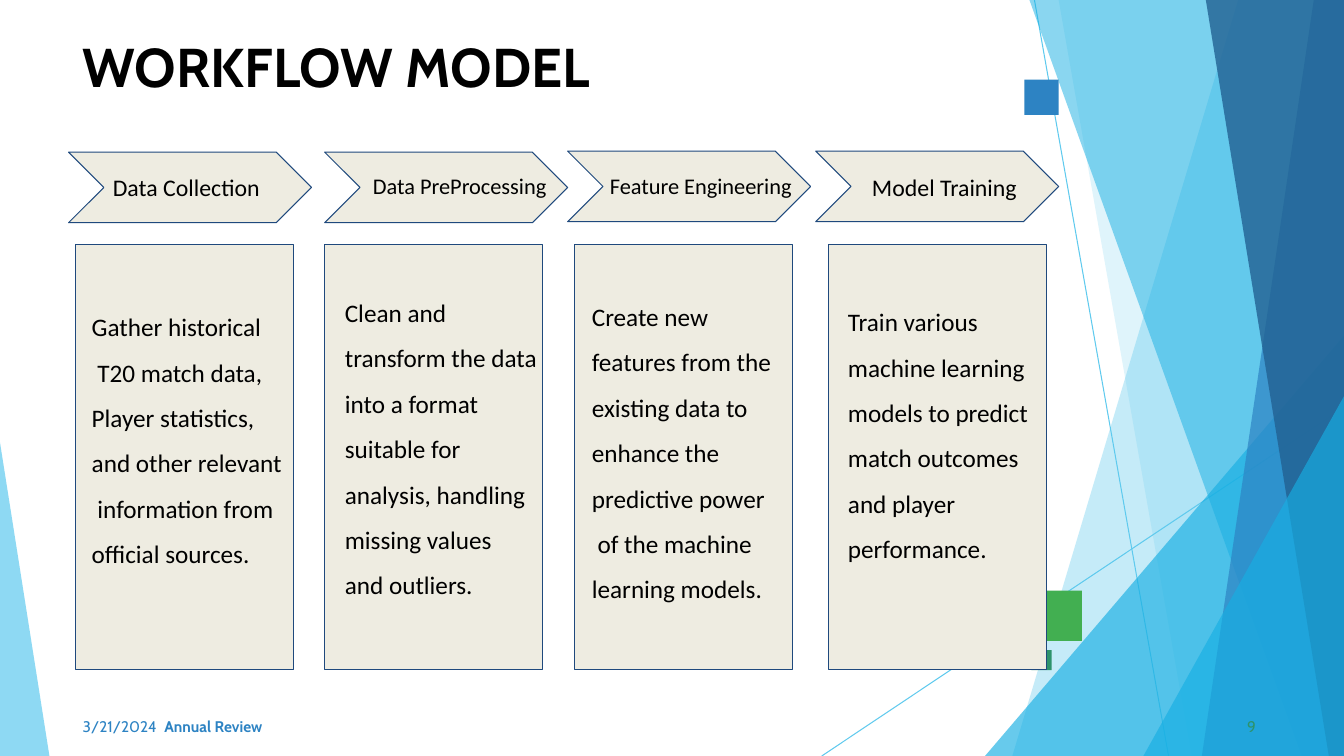
from lxml import etree
from pptx import Presentation
from pptx.dml.color import RGBColor
from pptx.enum.shapes import MSO_CONNECTOR, MSO_SHAPE
from pptx.enum.text import MSO_ANCHOR, MSO_AUTO_SIZE, PP_ALIGN
from pptx.oxml.ns import qn
from pptx.util import Inches, Pt

STRAIGHT = MSO_CONNECTOR.STRAIGHT
RECT, CHEVRON = MSO_SHAPE.RECTANGLE, MSO_SHAPE.CHEVRON
TOP, LEFT, NO_FIT = MSO_ANCHOR.TOP, PP_ALIGN.LEFT, MSO_AUTO_SIZE.NONE

THEME = {
    "heading": "Cabin", "text": "Calibri",
    "title_size": 39, "body_size": 18, "footer_size": 11,
    "black": "000000", "card": "EEECE1", "outline": "1F497D",
    "sky": "5FCAEE", "cyan": "17AFE3", "blue": "2D83C3", "navy": "226192",
    "green": "42AF51", "teal": "2D936B",
}


def color(name):
    return RGBColor.from_string(THEME[name])


def write(sp, text, box, font="text", size=18, fill="black", bold=False,
          inset=0.1, spacing=1.0):
    sp.left, sp.top, sp.width, sp.height = [Inches(v) for v in box]
    tf = sp.text_frame
    tf.word_wrap = False
    tf.auto_size = NO_FIT
    tf.vertical_anchor = TOP
    tf.margin_left = tf.margin_right = Inches(inset)
    tf.margin_top = tf.margin_bottom = Inches(inset)
    for i, line in enumerate(text.split("\n")):
        p = tf.paragraphs[0] if i == 0 else tf.add_paragraph()
        p.alignment = LEFT
        p.line_spacing = spacing
        p.space_before = p.space_after = Pt(0)
        pPr = p._p.get_or_add_pPr()
        pPr.set("marL", "0")
        pPr.set("indent", "0")
        etree.SubElement(pPr, qn("a:buNone"))
        r = p.add_run()
        r.text = line
        r.font.name = THEME[font]
        r.font.size = Pt(size)
        r.font.bold = bold
        r.font.color.rgb = color(fill)


prs = Presentation()
prs.slide_width, prs.slide_height = Inches(13.33), Inches(7.5)
s = prs.slides.add_slide(prs.slide_layouts[4])
title, *bodies = list(s.placeholders)[:5]

for x1, y1, x2, y2 in [(10.26, 0, 11.59, 7.5), (13.33, 4.04, 8.15, 7.5)]:
    ray = s.shapes.add_connector(STRAIGHT, Inches(x1), Inches(y1), Inches(x2), Inches(y2))
    ray.line.color.rgb = color("sky")
    ray.line.width = Pt(0.75)
    etree.SubElement(ray._element.spPr, qn("a:effectLst"))

facets = [
    ("sky", 36, [(13.33, 0), (12.28, 0), (10.04, 7.5), (13.33, 7.5)]),
    ("sky", 20, [(13.33, 0), (10.5, 0), (11.82, 7.5), (13.33, 7.5)]),
    ("cyan", 65, [(13.33, 3.33), (9.77, 7.5), (13.33, 7.5)]),
    ("cyan", 50, [(13.33, 0), (10.21, 0), (12.91, 7.5), (13.33, 7.5)]),
    ("blue", 70, [(13.33, 0), (13.03, 0), (11.92, 7.5), (13.33, 7.5)]),
    ("navy", 80, [(13.33, 0), (11.96, 0), (13.18, 7.5), (13.33, 7.5)]),
    ("cyan", 65, [(13.33, 3.93), (11.34, 7.5), (13.33, 7.5)]),
    ("sky", 70, [(0, 4.39), (0, 7.5), (0.49, 7.5)]),
]
for fill, opacity, points in facets:
    start, *rest = [(Inches(x), Inches(y)) for x, y in points]
    fb = s.shapes.build_freeform(*start)
    fb.add_line_segments(rest, close=True)
    facet = fb.convert_to_shape()
    facet.shadow.inherit = False
    facet.fill.solid()
    facet.fill.fore_color.rgb = color(fill)
    facet.line.fill.background()
    clr = facet._element.spPr.find(qn("a:solidFill"))[0]
    etree.SubElement(clr, qn("a:alpha"), val=str(opacity * 1000))

for x, y, w, h, fill in [(10.23, 5.86, 0.5, 0.5, "green"),
                         (10.16, 0.79, 0.34, 0.35, "blue"),
                         (10.23, 6.45, 0.2, 0.2, "teal")]:
    square = s.shapes.add_shape(RECT, Inches(x), Inches(y), Inches(w), Inches(h))
    square.shadow.inherit = False
    square.fill.solid()
    square.fill.fore_color.rgb = color(fill)
    square.line.fill.background()

write(title, "WORKFLOW MODEL", (0.82, 0.33, 6.73, 0.67), font="heading",
      size=THEME["title_size"], bold=True, inset=0)

for text, box, fill, bold in [("3/21/2024", (0.82, 7.09, 0.8, 0.2), "blue", False),
                              ("Annual Review", (1.63, 7.09, 1.13, 0.2), "blue", True),
                              ("9", (12.37, 7.09, 0.21, 0.2), "teal", False)]:
    write(s.shapes.add_textbox(0, 0, 0, 0), text, box, font="heading",
          size=THEME["footer_size"], fill=fill, bold=bold, inset=0, spacing=1.16)

steps = [
    ("Data Collection", 17, 0.68, 1.51, 1.02, 0.75, 0.81, 2.84,
     "Gather historical\n T20 match data,\nPlayer statistics,\n"
     "and other relevant\n information from\nofficial sources."),
    ("Data PreProcessing", 16, 3.22, 1.51, 3.6, 3.22, 3.32, 2.7,
     "Clean and\ntransform the data\ninto a format\nsuitable for\n"
     "analysis, handling\nmissing values\nand outliers."),
    ("Feature Engineering", 16, 5.63, 1.5, 5.95, 5.7, 5.77, 2.74,
     "Create new\nfeatures from the\nexisting data to\nenhance the\n"
     "predictive power\n of the machine\nlearning models."),
    ("Model Training", 17, 8.09, 1.5, 8.55, 8.22, 8.31, 2.79,
     "Train various\nmachine learning\nmodels to predict\nmatch outcomes\n"
     "and player\nperformance."),
]
for body, step in zip(bodies, steps):
    name, size, arrow_x, arrow_y, name_x, card_x, body_x, body_y, text = step
    for kind, x, y, w, h in [(CHEVRON, arrow_x, arrow_y, 2.41, 0.7),
                             (RECT, card_x, 2.43, 2.16, 4.21)]:
        sp = s.shapes.add_shape(kind, Inches(x), Inches(y), Inches(w), Inches(h))
        sp.shadow.inherit = False
        sp.fill.solid()
        sp.fill.fore_color.rgb = color("card")
        sp.line.color.rgb = color("outline")
        sp.line.width = Pt(0.75)
    write(s.shapes.add_textbox(0, 0, 0, 0), name, (name_x, 1.61, 2.05, 0.49), size=size)
    body._element.getparent().append(body._element)
    write(body, text, (body_x, body_y, 2.15, 3.69), size=THEME["body_size"], spacing=1.5)

prs.save("out.pptx")
